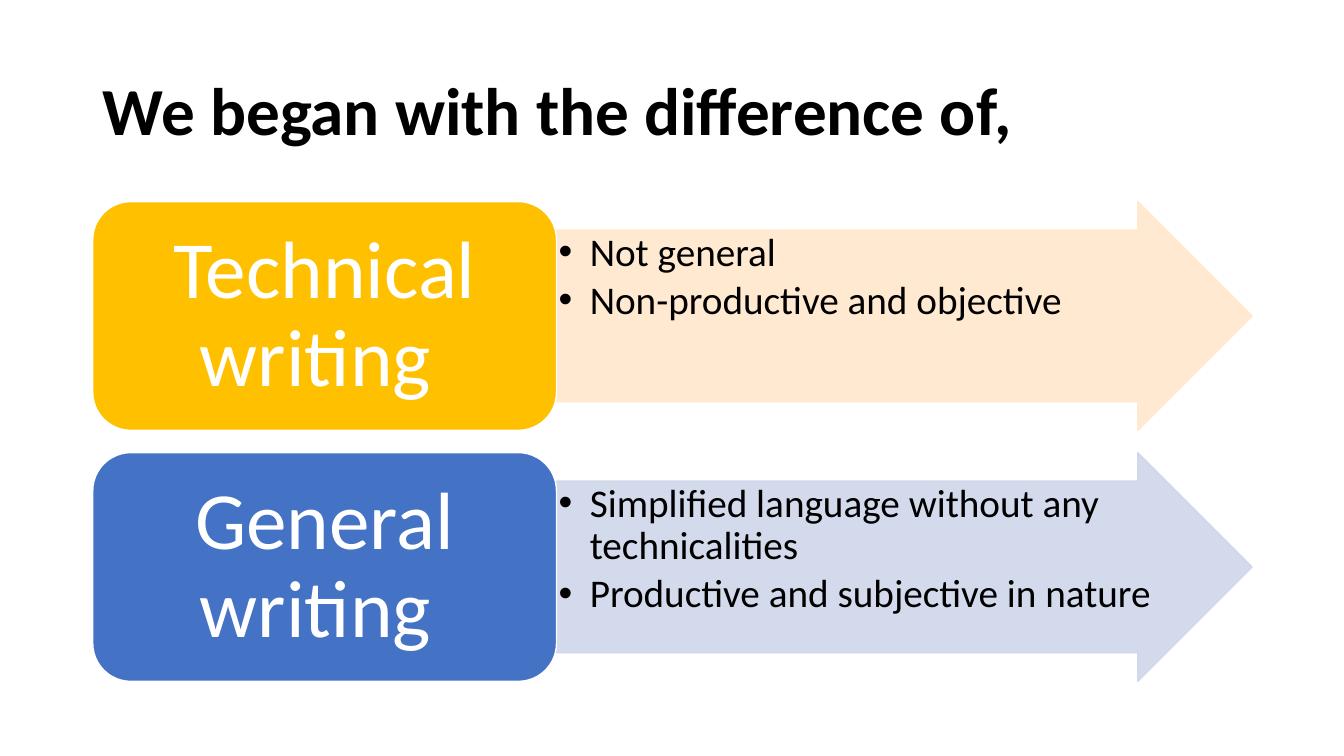
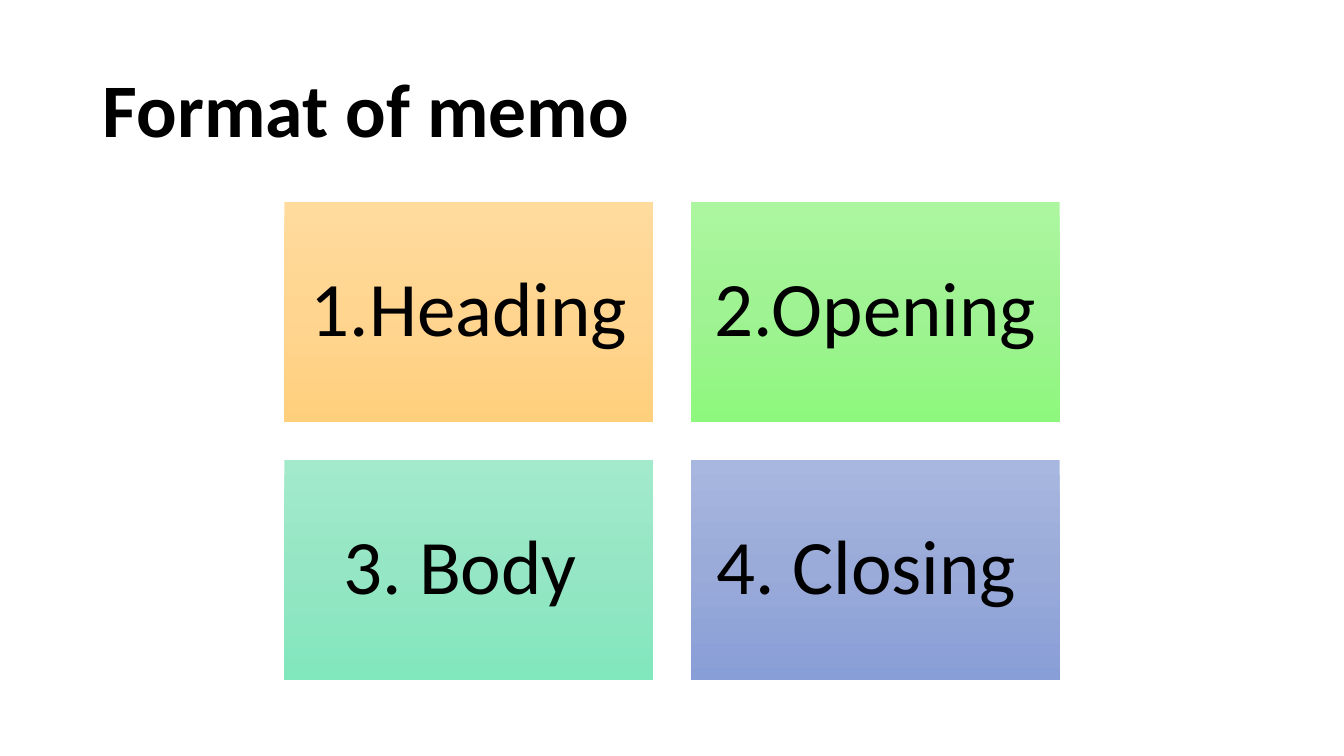
from copy import deepcopy

from pptx import Presentation
from pptx.dml.color import RGBColor
from pptx.enum.shapes import MSO_SHAPE as SHAPE
from pptx.enum.text import MSO_ANCHOR as ANCHOR, MSO_AUTO_SIZE as AUTO_SIZE, PP_ALIGN as ALIGN
from pptx.oxml.ns import qn
from pptx.oxml.xmlchemy import OxmlElement
from pptx.util import Inches, Pt

WIDTH, HEIGHT = 13.33, 7.5
LEFT, TOP = 0.92, 2
CONTENT_WIDTH = 11.5
TITLE_ONLY, TWO_CONTENT = 5, 3

WRITING_KINDS = [
    ("Technical writing ", "FFC000", "FFE8CC",
     ["Not general", "Non-productive and objective"]),
    ("General writing ", "4472C4", "CFD6EA",
     ["Simplified language without any technicalities",
      "Productive and subjective in nature"]),
]
MEMO_PARTS = [
    ("1.Heading", ["FFDB9E", "FFD590", "FFD07C"]),
    ("2.Opening ", ["ACF6A0", "9FF392", "8EF77D"]),
    ("3. Body ", ["A3EACC", "95E6C4", "81E7BD"]),
    ("4. Closing ", ["A8B7DF", "9AABD9", "889ED7"]),
]


def color(value):
    return RGBColor.from_string(value)


def grid_step(start, size, gap, index):
    return start + index * (size + gap)


def set_all(target, values):
    for name, value in values.items():
        setattr(target, name, value)


def set_opacity(shape, percent):
    """Apply one opacity to the fill and the line."""
    for node in list(shape.element.spPr.iter(qn("a:srgbClr"))):
        alpha = OxmlElement("a:alpha")
        alpha.set("val", str(percent * 1000))
        node.append(alpha)


class Deck:
    FONT = "Calibri"
    TEXT = "000000"

    def __init__(self):
        self.presentation = Presentation()
        self.presentation.slide_width = Inches(WIDTH)
        self.presentation.slide_height = Inches(HEIGHT)
        self.slide = None

    def new_slide(self, layout, title, size):
        self.slide = self.presentation.slides.add_slide(
            self.presentation.slide_layouts[layout])
        shape = self.slide.shapes.title
        self.place(shape, LEFT, 0.4, CONTENT_WIDTH, 1.45)
        self.set_text(shape, [title], size, ALIGN.LEFT, ANCHOR.MIDDLE, (0.1, 0.05), bold=True)

    def place(self, shape, *box):
        set_all(shape, dict(zip(("left", "top", "width", "height"), map(Inches, box))))

    def set_text(self, shape, lines, size, align, anchor, insets,
                 text_color=TEXT, bold=False, after=0, hanging=0):
        """Fill a shape with paragraphs; insets are (horizontal, vertical)."""
        horizontal, vertical = map(Inches, insets)
        frame = shape.text_frame
        set_all(frame, {
            "text": "\n".join(lines), "word_wrap": True, "auto_size": AUTO_SIZE.NONE,
            "vertical_anchor": anchor,
            "margin_left": horizontal, "margin_right": horizontal,
            "margin_top": vertical, "margin_bottom": vertical,
        })
        for paragraph in frame.paragraphs:
            if hanging:
                properties = paragraph._p.get_or_add_pPr()
                properties.set("marL", str(Inches(hanging)))
                properties.set("indent", str(-Inches(hanging)))
            set_all(paragraph, {"alignment": align, "line_spacing": 0.9,
                                "space_before": Pt(0), "space_after": Pt(after)})
            for run in paragraph.runs:
                set_all(run.font, {"name": self.FONT, "size": Pt(size), "bold": bold})
                run.font.color.rgb = color(text_color)

    def shape(self, kind, box, fill=None, line=None):
        shape = self.slide.shapes.add_shape(kind, *map(Inches, box))
        shape.shadow.inherit = False
        if fill:
            shape.fill.solid()
            shape.fill.fore_color.rgb = color(fill)
        if line:
            shape.line.color.rgb = color(line)
            shape.line.width = Pt(1)
        else:
            shape.line.fill.background()
        return shape

    def label_box(self, box, label, fill):
        shape = self.shape(SHAPE.ROUNDED_RECTANGLE, box, fill, "FFFFFF")
        self.set_text(shape, [label], 58, ALIGN.CENTER, ANCHOR.MIDDLE, (0.24, 0.12), "FFFFFF")

    def arrow_list(self, placeholder, box, lines, fill):
        """Lay a bulleted body placeholder over the shaft of a block arrow."""
        left, top, width, height = box
        shaft = 0.75
        arrow = self.shape(SHAPE.RIGHT_ARROW, box, fill, fill)
        arrow.adjustments[0] = shaft
        set_opacity(arrow, 90)
        placeholder.element.addprevious(arrow.element)
        self.place(placeholder, left, top + height * (1 - shaft) / 2,
                   width - height * 3 / 8, height * shaft)
        self.set_text(placeholder, lines, 28, ALIGN.LEFT, ANCHOR.TOP, (0.02, 0.02),
                      after=4.2, hanging=0.31)

    def gradient_box(self, box, label, colors):
        shape = self.shape(SHAPE.RECTANGLE, box)
        shape.fill.gradient()
        shape.fill.gradient_angle = 270
        first = next(shape.element.spPr.iter(qn("a:gs")))
        first.addnext(deepcopy(first))
        for index, (stop, value) in enumerate(zip(shape.fill.gradient_stops, colors)):
            stop.position = index / (len(colors) - 1)
            stop.color.rgb = color(value)
        self.set_text(shape, [label], 55, ALIGN.CENTER, ANCHOR.MIDDLE, (0.23, 0.23))


def add_writing_slide(deck):
    deck.new_slide(TWO_CONTENT, "We began with the difference of,", 48)
    bodies = list(deck.slide.placeholders)[1:3]
    label_width, row_height = CONTENT_WIDTH * 0.4, 2.27
    for row, (label, fill, tint, lines) in enumerate(WRITING_KINDS):
        top = grid_step(TOP, row_height, 0.22, row)
        deck.arrow_list(bodies[row], (LEFT + label_width, top, CONTENT_WIDTH * 0.6, row_height),
                        lines, tint)
        deck.label_box((LEFT, top, label_width, row_height), label, fill)


def add_memo_slide(deck):
    deck.new_slide(TITLE_ONLY, "Format of memo", 54)
    width, height, gap = 3.66, 2.19, 0.37
    left = (WIDTH - 2 * width - gap) / 2
    for index, (label, colors) in enumerate(MEMO_PARTS):
        row, column = divmod(index, 2)
        box = (grid_step(left, width, gap, column), grid_step(TOP, height, gap, row),
               width, height)
        deck.gradient_box(box, label, colors)


def main():
    deck = Deck()
    add_writing_slide(deck)
    add_memo_slide(deck)
    deck.presentation.save("out.pptx")


if __name__ == "__main__":
    main()
